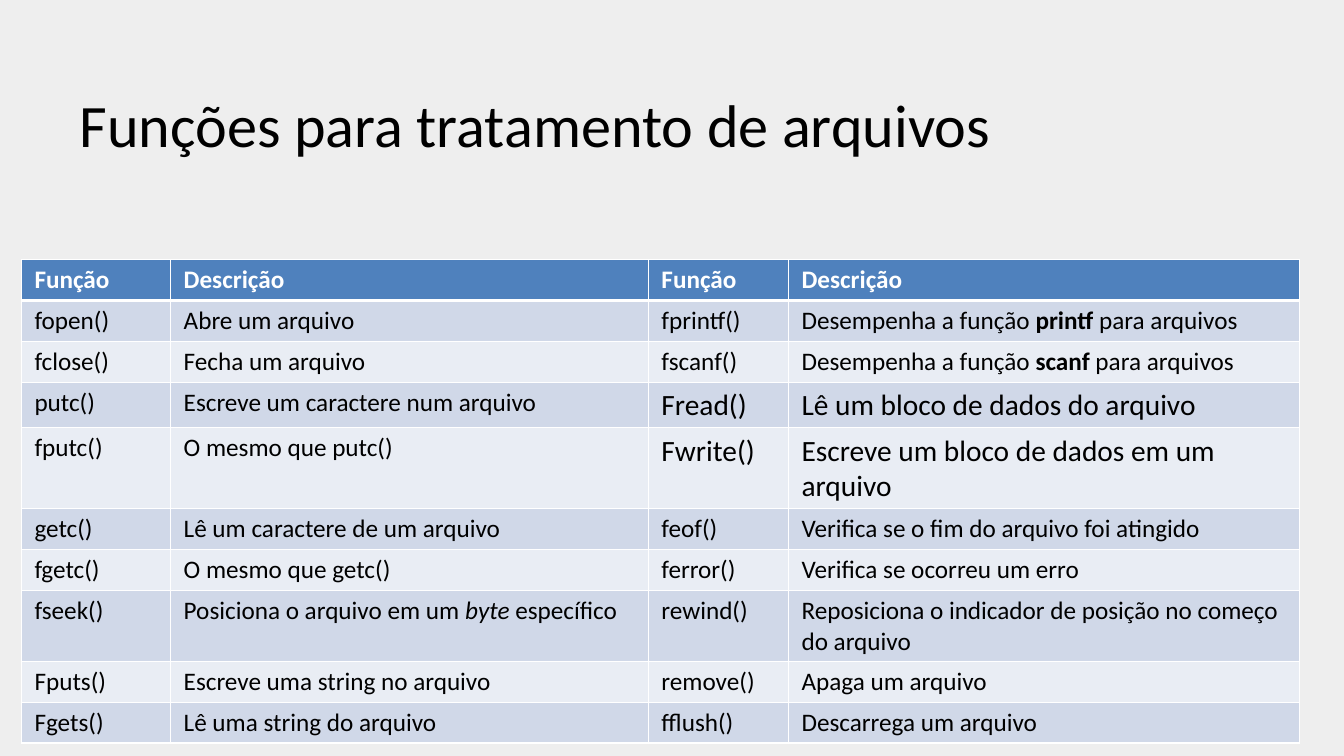
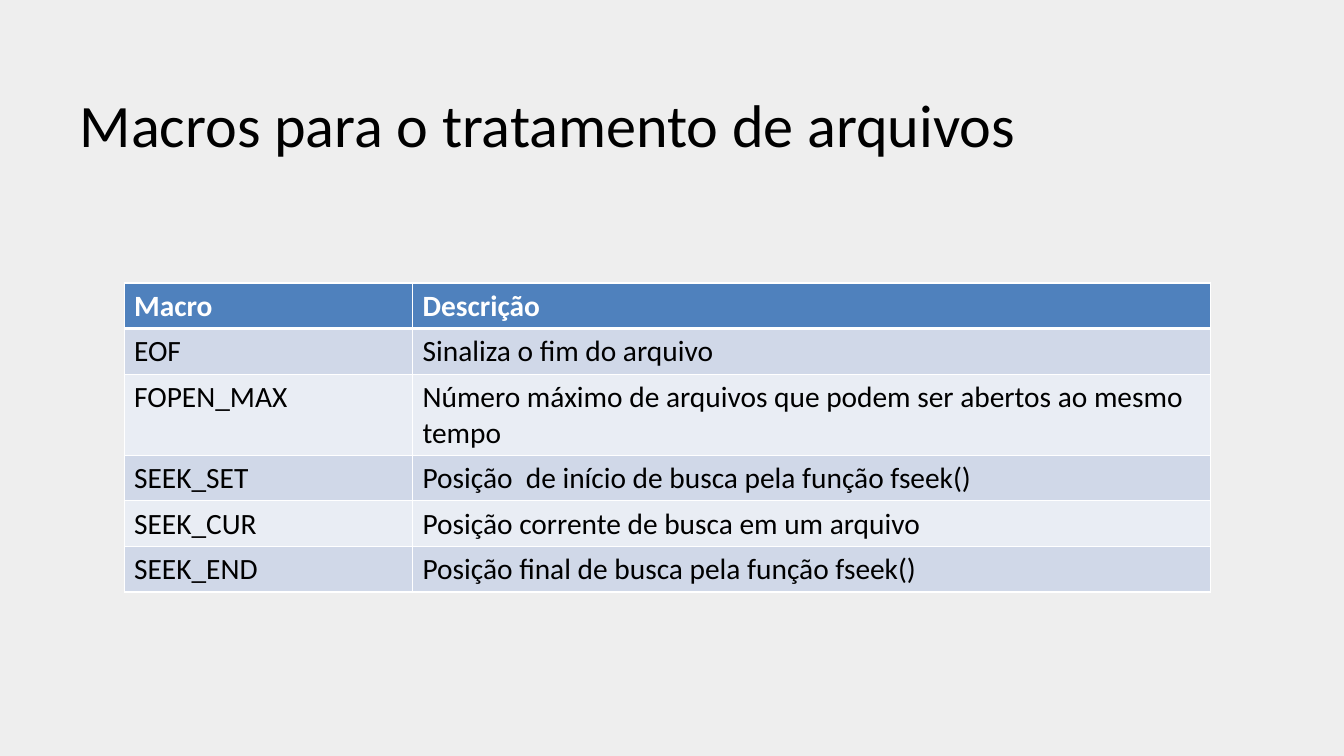
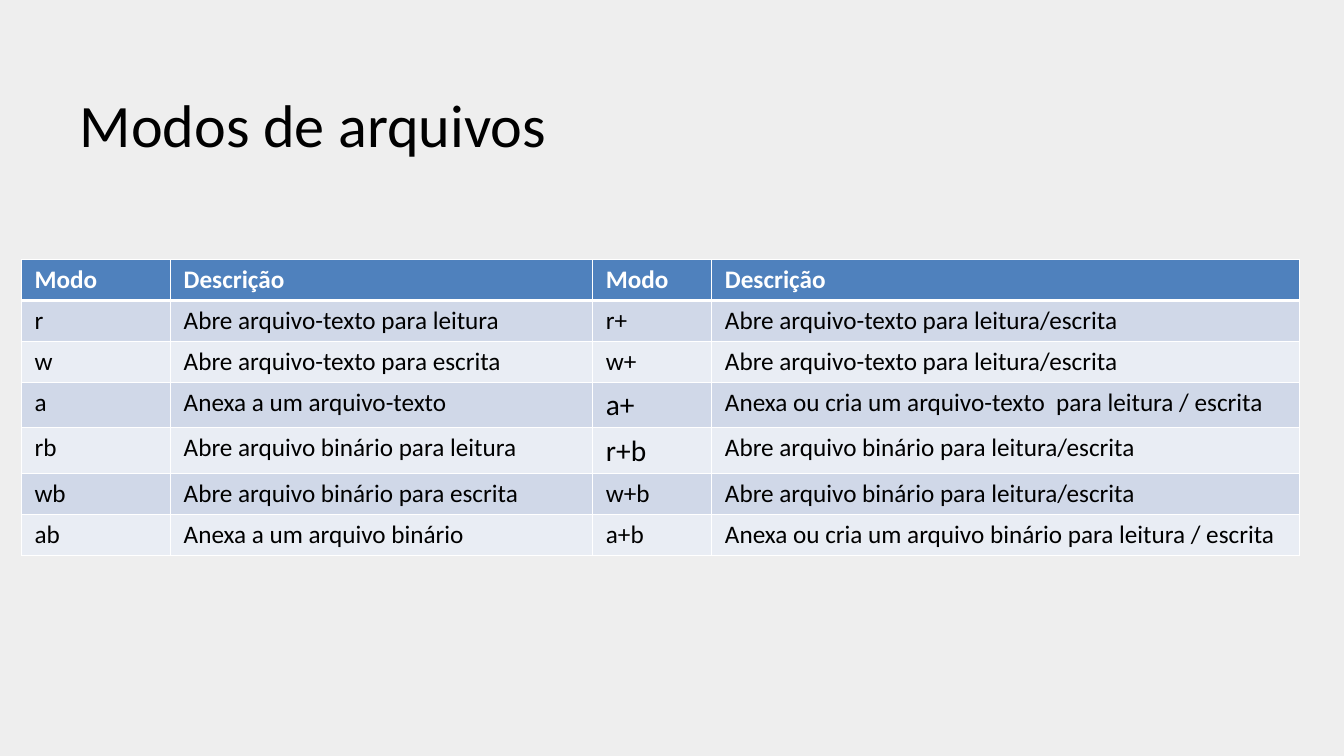
from lxml.etree import SubElement
from pptx import Presentation
from pptx.dml.color import RGBColor
from pptx.enum.text import MSO_ANCHOR as Anchor
from pptx.oxml import parse_xml
from pptx.oxml.ns import nsdecls, qn
from pptx.util import Cm, Pt

# Shared look
FONT = "Calibri"
BACKGROUND, WHITE, BLACK = "EEEEEE", "FFFFFF", "000000"
HEADER, BANDS = "4F81BD", ("D0D8E8", "E9EDF4")
TITLE_SIZE, NORMAL, LARGE = 43, 18, 21
THIN, THICK = 1, 3
ROW_HEIGHT = 1.03

# Table contents; a cell with mixed styles is a tuple of (text, style) spans
FUNCTIONS = [
    ["Função", "Descrição", "Função", "Descrição"],
    ["fopen()", "Abre um arquivo", "fprintf()",
     (("Desempenha a função ", ""), ("printf", "bold"), (" para arquivos", ""))],
    ["fclose()", "Fecha um arquivo", "fscanf()",
     (("Desempenha a função ", ""), ("scanf", "bold"), (" para arquivos", ""))],
    ["putc()", "Escreve um caractere num arquivo",
     "Fread()", "Lê um bloco de dados do arquivo"],
    ["fputc()", "O mesmo que putc()",
     "Fwrite()", "Escreve um bloco de dados em um arquivo"],
    ["getc()", "Lê um caractere de um arquivo",
     "feof()", "Verifica se o fim do arquivo foi atingido"],
    ["fgetc()", "O mesmo que getc()", "ferror()", "Verifica se ocorreu um erro"],
    ["fseek()",
     (("Posiciona o arquivo em um ", ""), ("byte", "italic"), (" específico", "")),
     "rewind()", "Reposiciona o indicador de posição no começo do arquivo"],
    ["Fputs()", "Escreve uma string no arquivo", "remove()", "Apaga um arquivo"],
    ["Fgets()", "Lê uma string do arquivo", "fflush()", "Descarrega um arquivo"],
]
MACROS = [
    ["Macro", "Descrição"],
    ["EOF", "Sinaliza o fim do arquivo"],
    ["FOPEN_MAX", "Número máximo de arquivos que podem ser abertos ao mesmo tempo"],
    ["SEEK_SET", "Posição  de início de busca pela função fseek()"],
    ["SEEK_CUR", "Posição corrente de busca em um arquivo"],
    ["SEEK_END", "Posição final de busca pela função fseek()"],
]
MODES = [
    ["Modo", "Descrição", "Modo", "Descrição"],
    ["r", "Abre arquivo-texto para leitura",
     "r+", "Abre arquivo-texto para leitura/escrita"],
    ["w", "Abre arquivo-texto para escrita",
     "w+", "Abre arquivo-texto para leitura/escrita"],
    ["a", "Anexa a um arquivo-texto",
     "a+", "Anexa ou cria um arquivo-texto  para leitura / escrita"],
    ["rb", "Abre arquivo binário para leitura",
     "r+b", "Abre arquivo binário para leitura/escrita"],
    ["wb", "Abre arquivo binário para escrita",
     "w+b", "Abre arquivo binário para leitura/escrita"],
    ["ab", "Anexa a um arquivo binário",
     "a+b", "Anexa ou cria um arquivo binário para leitura / escrita"],
]


def color(value):
    return RGBColor.from_string(value)


def paint(fill, value):
    fill.solid()
    fill.fore_color.rgb = color(value)


def set_font(font, size, value, bold=False):
    font.name, font.size, font.bold = FONT, Pt(size), bold
    font.color.rgb = color(value)


def set_margins(target, across, down):
    target.margin_left = target.margin_right = Cm(across)
    target.margin_top = target.margin_bottom = Cm(down)


def write(para, content):
    """Add a plain string or a series of styled spans to a paragraph."""
    spans = ((content, ""),) if isinstance(content, str) else content
    for text, style in spans:
        span = para.add_run()
        span.text = text
        if style:
            setattr(span.font, style, True)


def set_borders(cell, top, bottom):
    """Draw white lines on the four sides; widths are in points."""
    properties = cell._tc.get_or_add_tcPr()
    sides = {"lnL": THIN, "lnR": THIN, "lnT": top, "lnB": bottom}
    for position, (side, width) in enumerate(sides.items()):
        line = parse_xml(f'<a:{side} {nsdecls("a")} w="{Pt(width)}"/>')
        SubElement(SubElement(line, qn("a:solidFill")), qn("a:srgbClr"), val=WHITE)
        properties.insert(position, line)


def add_page(deck, title):
    page = deck.slides.add_slide(deck.slide_layouts[6])
    box = page.shapes.add_textbox(Cm(1.7), Cm(1), Cm(30.48), Cm(3.18))
    frame = box.text_frame
    frame.word_wrap = True
    frame.vertical_anchor = Anchor.BOTTOM
    set_margins(frame, 0.31, 0.16)
    para = frame.paragraphs[0]
    write(para, title)
    set_font(para.font, TITLE_SIZE, BLACK)
    return page


def add_grid(page, rows, left, top, widths, margin=0.33, size=NORMAL, large=()):
    """Add a banded table; large lists the (row, column) cells with bigger text."""
    table = page.shapes.add_table(
        len(rows), len(widths), Cm(left), Cm(top),
        Cm(sum(widths)), Cm(ROW_HEIGHT * len(rows))).table
    for column, width in zip(table.columns, widths):
        column.width = Cm(width)
    for r, row in enumerate(rows):
        table.rows[r].height = Cm(ROW_HEIGHT)
        header = r == 0
        for c, content in enumerate(row):
            cell = table.cell(r, c)
            set_margins(cell, margin, 0.13)
            paint(cell.fill, HEADER if header else BANDS[(r - 1) % 2])
            set_borders(cell, top=THICK if r == 1 else THIN,
                        bottom=THICK if header else THIN)
            para = cell.text_frame.paragraphs[0]
            write(para, content)
            set_font(para.font, LARGE if (r, c) in large else size,
                     WHITE if header else BLACK, bold=header)


def main():
    deck = Presentation()
    deck.slide_width, deck.slide_height = Cm(33.87), Cm(19.05)
    paint(deck.slide_master.background.fill, BACKGROUND)

    # File functions
    page = add_page(deck, "Funções para tratamento de arquivos")
    add_grid(page, FUNCTIONS, 0.54, 6.54, (3.76, 12.04, 3.53, 12.88),
             large=((3, 2), (3, 3), (4, 2), (4, 3)))

    # Macros
    page = add_page(deck, "Macros para o tratamento de arquivos")
    add_grid(page, MACROS, 3.13, 7.13, (7.27, 20.1), margin=0.25, size=LARGE)

    # File modes
    page = add_page(deck, "Modos de arquivos")
    add_grid(page, MODES, 0.54, 6.54, (3.76, 10.64, 3, 14.81),
             large=((3, 2), (4, 2)))

    deck.save("out.pptx")


if __name__ == "__main__":
    main()
